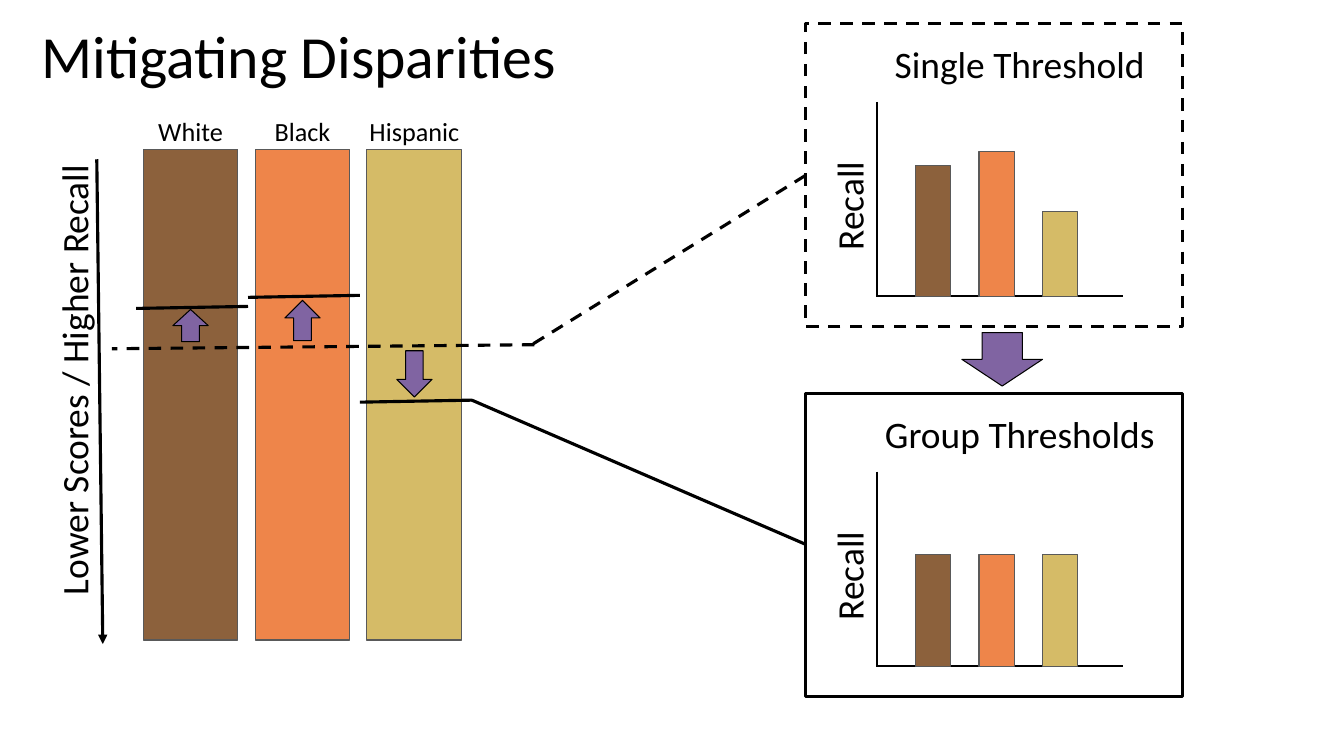
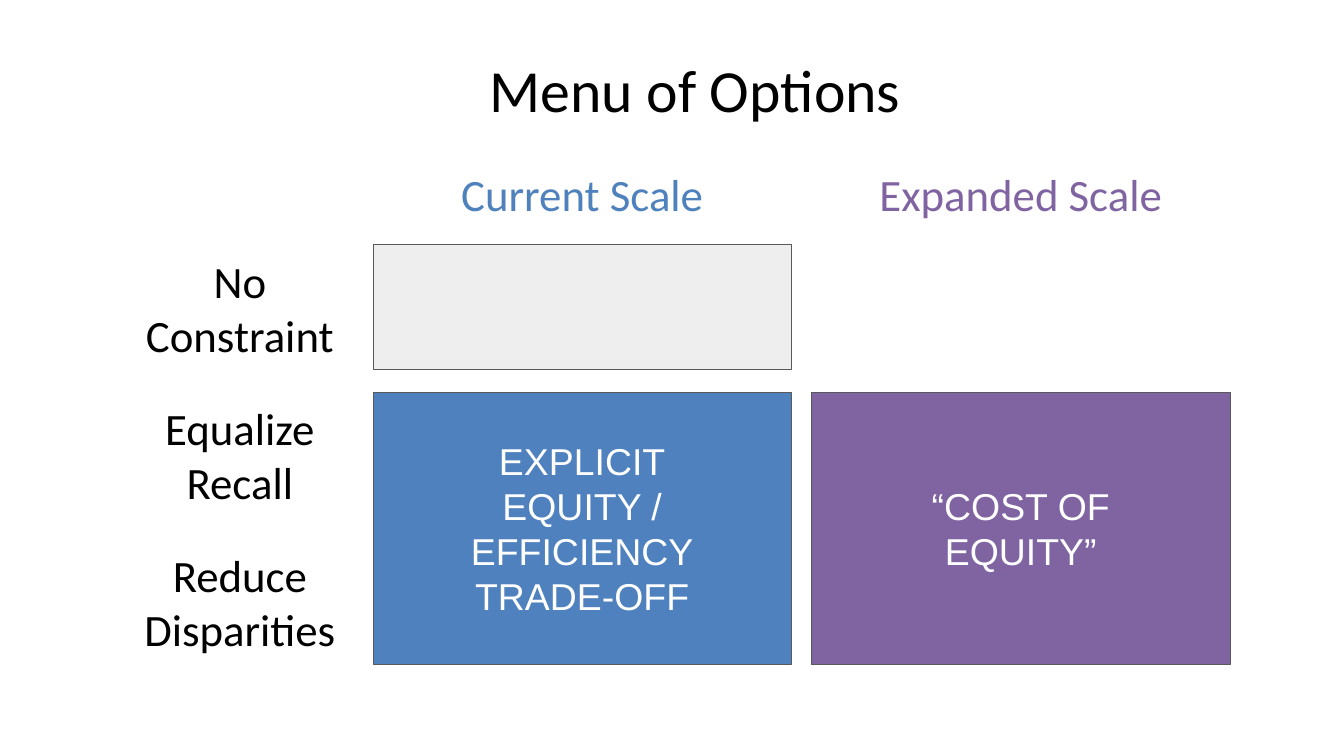
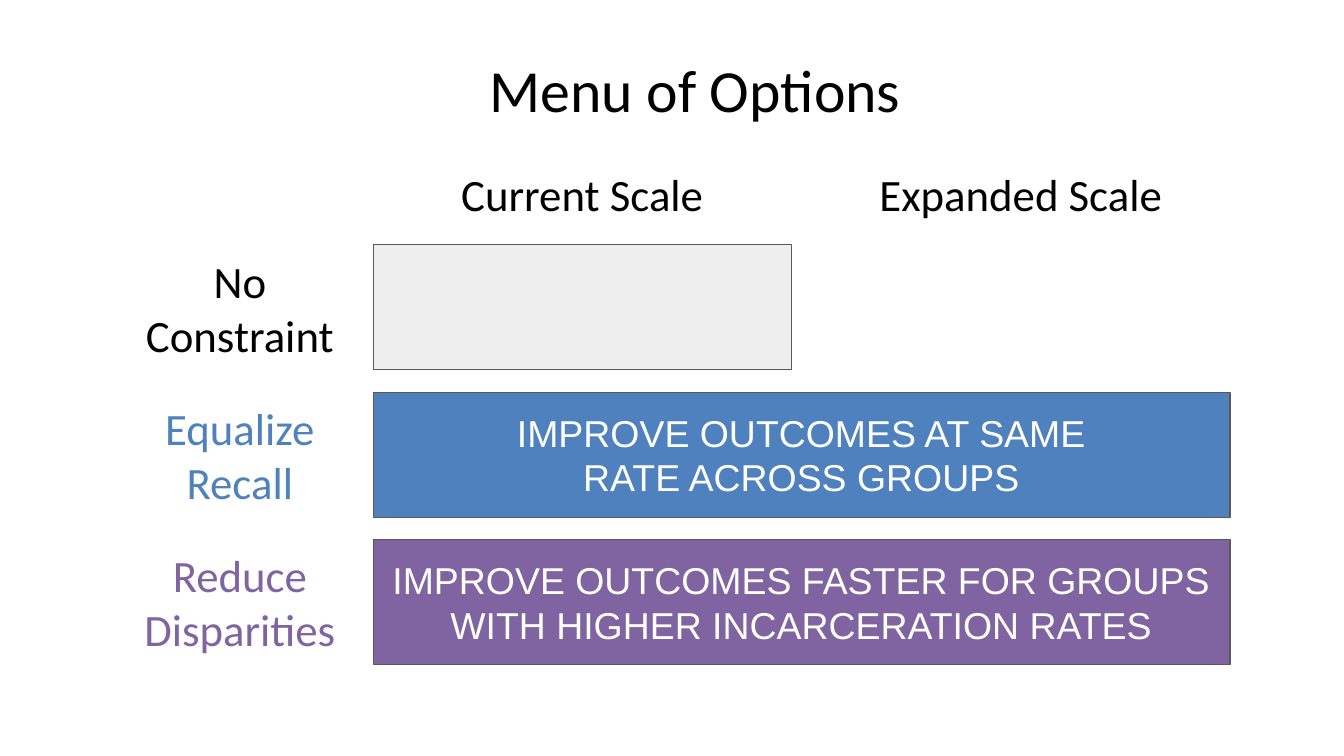
from lxml import etree
from pptx import Presentation
from pptx.dml.color import RGBColor
from pptx.enum.dml import MSO_LINE
from pptx.enum.shapes import MSO_CONNECTOR, MSO_SHAPE
from pptx.enum.text import MSO_ANCHOR, MSO_AUTO_SIZE, PP_ALIGN
from pptx.oxml.ns import qn
from pptx.util import Pt

PX = 9144  # 100 px to the inch
RECT, UP, DOWN = MSO_SHAPE.RECTANGLE, MSO_SHAPE.UP_ARROW, MSO_SHAPE.DOWN_ARROW
LEFT, CENTER = PP_ALIGN.LEFT, PP_ALIGN.CENTER
TOP, MIDDLE = MSO_ANCHOR.TOP, MSO_ANCHOR.MIDDLE
DASH = MSO_LINE.DASH

BLACK = RGBColor(0x00, 0x00, 0x00)
WHITE = RGBColor(0xFF, 0xFF, 0xFF)
BROWN = RGBColor(0x8C, 0x61, 0x3C)
ORANGE = RGBColor(0xEE, 0x85, 0x4A)
YELLOW = RGBColor(0xD5, 0xBB, 0x67)
BLUE = RGBColor(0x4F, 0x81, 0xBE)
BLUE_TEXT = RGBColor(0x4F, 0x81, 0xBD)
PURPLE = RGBColor(0x80, 0x64, 0xA2)
PALE = RGBColor(0xEE, 0xEE, 0xEE)
EDGE = RGBColor(0x59, 0x59, 0x59)

INSET = 13
TITLE_PT, LABEL_PT, BODY_PT, GROUP_PT = 42.7, 32, 26.7, 18.7

# Group: name, colour, threshold y, arrow shape, arrow top, arrow height
GROUPS = [
    ("White", BROWN, 306, UP, 307, 32),
    ("Black", ORANGE, 295, UP, 298, 40),
    ("Hispanic", YELLOW, 399, DOWN, 348, 46),
]
# Panel: title, top, outline dash, bar heights
PANELS = [
    ("Single Threshold", 23, DASH, (130, 144, 84)),
    ("Group Thresholds", 390, None, (111, 111, 111)),
]
COLUMNS = ["Current Scale", "Expanded Scale"]
ROWS = [["No", "Constraint"], ["Equalize", "Recall"], ["Reduce", "Disparities"]]
# Block: row, column, rows spanned, columns spanned, fill, lines
EMPTY_BLOCK = (0, 0, 1, 1, PALE, [])
MENUS = [
    dict(column_colors=[BLUE_TEXT, PURPLE], row_colors=[BLACK] * 3, blocks=[
        EMPTY_BLOCK,
        (1, 0, 2, 1, BLUE, ["EXPLICIT", "EQUITY / EFFICIENCY", "TRADE-OFF"]),
        (1, 1, 2, 1, PURPLE, ["“COST OF", "EQUITY”"]),
    ]),
    dict(column_colors=[BLACK] * 2, row_colors=[BLACK, BLUE_TEXT, PURPLE], blocks=[
        EMPTY_BLOCK,
        (1, 0, 1, 2, BLUE, ["IMPROVE OUTCOMES AT SAME", "RATE ACROSS GROUPS"]),
        (2, 0, 1, 2, PURPLE, ["IMPROVE OUTCOMES FASTER FOR GROUPS",
                              "WITH HIGHER INCARCERATION RATES"]),
    ]),
]


def emu(*lengths):
    return [round(n * PX) for n in lengths]


def write(sp, lines, size=BODY_PT, color=BLACK, font="Calibri", align=CENTER, anchor=TOP):
    tf = sp.text_frame
    tf.word_wrap = True
    tf.auto_size = MSO_AUTO_SIZE.NONE
    tf.vertical_anchor = anchor
    tf.margin_left = tf.margin_right = tf.margin_top = tf.margin_bottom = INSET * PX
    for i, line in enumerate(lines):
        p = tf.add_paragraph() if i else tf.paragraphs[0]
        p.alignment = align
        r = p.add_run()
        r.text = line
        r.font.name, r.font.size, r.font.color.rgb = font, Pt(size), color


def add_text(s, x, y, w, h, lines, rotation=0, **fmt):
    sp = s.shapes.add_textbox(*emu(x, y, w, h))
    sp.rotation = rotation
    write(sp, lines, **fmt)


def add_box(s, x, y, w, h, fill=None, kind=RECT, line=EDGE, weight=0.75, dash=None):
    sp = s.shapes.add_shape(kind, *emu(x, y, w, h))
    sp.shadow.inherit = False
    if fill is None:
        sp.fill.background()
    else:
        sp.fill.solid()
        sp.fill.fore_color.rgb = fill
    sp.line.color.rgb, sp.line.width = line, Pt(weight)
    if dash:
        sp.line.dash_style = dash
    return sp


def add_line(s, x1, y1, x2, y2, weight=2.25, dash=None, arrow=False):
    c = s.shapes.add_connector(MSO_CONNECTOR.STRAIGHT, *emu(x1, y1, x2, y2))
    c.line.color.rgb, c.line.width = BLACK, Pt(weight)
    if dash:
        c.line.dash_style = dash
    if arrow:
        etree.SubElement(c.line._get_or_add_ln(), qn("a:tailEnd"), type="triangle")
    etree.SubElement(c._element.spPr, qn("a:effectLst"))


def add_slide(prs, title, x, y, align):
    s = prs.slides.add_slide(prs.slide_layouts[5])
    sp = s.shapes.title
    sp.left, sp.top, sp.width, sp.height = emu(x, y, 1279, 111)
    write(sp, [title], size=TITLE_PT, align=align)
    return s


def add_panel(s, title, top, dash, heights):
    """Outlined panel with a schematic recall bar per group."""
    axis_x, base = 870, top + 271
    add_box(s, 799, top, 374, 301, line=BLACK, weight=2.25, dash=dash)
    add_line(s, axis_x, top + 78, axis_x, base + 1, weight=1.5)
    add_line(s, axis_x, base, axis_x + 244, base, weight=1.5)
    for i, (group, height) in enumerate(zip(GROUPS, heights)):
        add_box(s, 908 + 63 * i, base - height, 35, height, group[1])
    add_text(s, 795, top + 123, 127, 104, ["Recall"], rotation=270, align=LEFT)
    add_text(s, 849, top + 5, 325, 63, [title])


def add_disparities_slide(prs):
    s = add_slide(prs, "Mitigating Disparities", 28, 6, LEFT)
    pitch, bar_w = 111, 94
    lefts = [142 + pitch * i for i in range(len(GROUPS))]
    for x, (name, color, *_) in zip(lefts, GROUPS):
        add_box(s, x, 148, bar_w, 487, color)
        add_text(s, x + bar_w / 2 - 60, 101, 120, 63, [name], size=GROUP_PT)
    add_line(s, 96, 158, 102, 639, arrow=True)
    add_text(s, -164, 348, 461, 58, ["Lower Scores / Higher Recall"], rotation=270)
    add_line(s, 530, 342, 111, 346, dash=DASH)
    for x, (_, _, y, kind, arrow_top, arrow_h) in zip(lefts, GROUPS):
        add_line(s, x - 7, y, x - 7 + pitch, y - 2)
        add_box(s, x + bar_w / 2 - 17.5, arrow_top, 35, arrow_h, PURPLE, kind, BLACK)
    for panel in PANELS:
        add_panel(s, *panel)
    add_line(s, 529, 341, 799, 174, dash=DASH)
    add_line(s, 468, 397, 799, 540)
    add_box(s, 954, 330, 80, 53, PURPLE, DOWN, BLACK)


def add_menu_slide(prs, column_colors, row_colors, blocks):
    s = add_slide(prs, "Menu of Options", 50, 39, CENTER)
    left, top, cell_w, cell_h, pitch_x, pitch_y = 370, 243, 415, 124, 435, 146
    for i, (name, color) in enumerate(zip(COLUMNS, column_colors)):
        add_text(s, left + pitch_x * i + 35, 163, cell_w - 70, 59, [name],
                 size=LABEL_PT, color=color, anchor=MIDDLE)
    for i, (lines, color) in enumerate(zip(ROWS, row_colors)):
        add_text(s, 106, top + pitch_y * i, 264, cell_h, lines,
                 size=LABEL_PT, color=color, anchor=MIDDLE)
    for row, col, rows, cols, fill, lines in blocks:
        sp = add_box(s, left + pitch_x * col, top + pitch_y * row,
                     cell_w + pitch_x * (cols - 1), cell_h + pitch_y * (rows - 1), fill)
        write(sp, lines, color=WHITE, font="Arial", anchor=MIDDLE)


def main():
    prs = Presentation()
    prs.slide_width, prs.slide_height = emu(1333, 750)
    add_disparities_slide(prs)
    for menu in MENUS:
        add_menu_slide(prs, **menu)
    prs.save("out.pptx")


if __name__ == "__main__":
    main()
